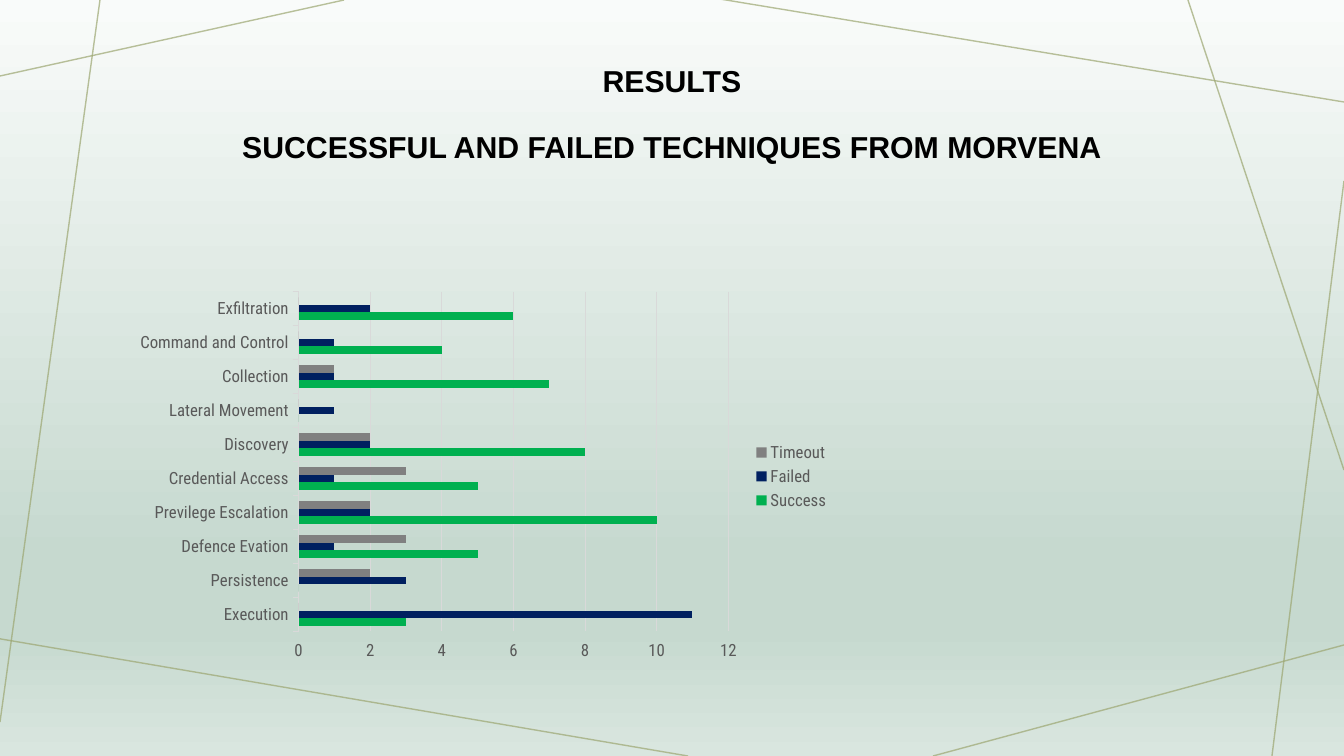
from copy import deepcopy

from lxml import etree
from pptx import Presentation
from pptx import util as u
from pptx.chart.data import CategoryChartData
from pptx.dml.color import RGBColor
from pptx.enum import chart as ch, shapes, text
from pptx.oxml.ns import qn

PX_PER_INCH = 100.8
COLORS = {
    "line": "9CA671", "title": "000000", "label": "595959", "grid": "D9D9D9",
    "Success": "00B050", "Failed": "002060", "Timeout": "808080",
}
BACKGROUND = [(0, "F9FBFA"), (74, "C6D9CF"), (83, "C6D9CF"), (100, "D9E6DF")]
DECOR_LINES = [
    (344, 0, 0, 76), (100, 0, 0, 722), (688, 756, -5, 638),
    (1344, 645, 933, 756), (1344, 181, 1272, 756),
    (1344, 470, 1188, 0), (1344, 102, 720, -1),
]
TACTICS = [
    "Execution", "Persistence", "Defence Evation", "Previlege Escalation",
    "Credential Access", "Discovery", "Lateral Movement", "Collection",
    "Command and Control", "Exfiltration",
]
OUTCOMES = {
    "Success": [3, 0, 5, 10, 5, 8, 0, 7, 4, 6],
    "Failed": [11, 3, 1, 2, 1, 2, 1, 1, 1, 2],
    "Timeout": [0, 2, 3, 2, 3, 2, 0, 1, 0, 0],
}


def px(*values):
    return [u.Inches(v / PX_PER_INCH) for v in values]


def rgb(name):
    return RGBColor.from_string(COLORS[name])


def paint_background(slide):
    fill = slide.background.fill
    fill.gradient()
    fill.gradient_angle = 270
    stops = slide.element.find(".//" + qn("a:gsLst"))
    for stop in list(stops)[1:]:
        stops.remove(stop)
    for _ in BACKGROUND[1:]:
        stops.append(deepcopy(stops[0]))
    for stop, (position, color) in zip(fill.gradient_stops, BACKGROUND):
        stop.position = position / 100
        stop.color.rgb = RGBColor.from_string(color)


def add_decor_line(slide, ends):
    line = slide.shapes.add_connector(shapes.MSO_CONNECTOR.STRAIGHT, *px(*ends))
    line.line.width = u.Pt(1)
    line.line.color.rgb = rgb("line")
    color = line.element.find(".//" + qn("a:srgbClr"))
    etree.SubElement(color, qn("a:alpha"), val="70000")
    etree.SubElement(line.element.spPr, qn("a:effectLst"))


def set_title(slide, lines, box):
    sp = slide.shapes.title
    sp.left, sp.top, sp.width, sp.height = px(*box)
    tf = sp.text_frame
    tf.text = "\n".join(lines)
    tf.word_wrap = True
    tf.auto_size = text.MSO_AUTO_SIZE.NONE
    tf.vertical_anchor = text.MSO_ANCHOR.MIDDLE
    for p in tf.paragraphs:
        p.alignment = text.PP_ALIGN.CENTER
        p.line_spacing = 0.9
        p.font.name, p.font.size, p.font.bold = "Arial", u.Pt(21.6), True
        p.font.color.rgb = rgb("title")
    tf.paragraphs[-1].space_before = u.Pt(24)


def style_font(font):
    font.name, font.size = "Roboto Condensed", u.Pt(12)
    font.color.rgb = rgb("label")


def style_line(line):
    line.color.rgb = rgb("grid")
    line.width = u.Pt(0.75)


def add_results_chart(slide, box):
    data = CategoryChartData()
    data.categories = TACTICS
    for name, values in OUTCOMES.items():
        data.add_series(name, values)
    chart = slide.shapes.add_chart(
        ch.XL_CHART_TYPE.BAR_CLUSTERED, *px(*box), data).chart
    style_font(chart.font)
    chart.has_title = False

    chart.has_legend = True
    chart.legend.position = ch.XL_LEGEND_POSITION.RIGHT
    chart.legend.include_in_layout = False
    style_font(chart.legend.font)

    plot = chart.plots[0]
    plot.gap_width, plot.overlap = 150, 0
    plot.vary_by_categories = False
    for series in plot.series:
        series.format.fill.solid()
        series.format.fill.fore_color.rgb = rgb(series.name)

    for axis in (chart.category_axis, chart.value_axis):
        axis.major_tick_mark = ch.XL_TICK_MARK.OUTSIDE
        style_font(axis.tick_labels.font)
    style_line(chart.category_axis.format.line)
    values = chart.value_axis
    values.minimum_scale, values.maximum_scale, values.major_unit = 0, 12, 2
    values.format.line.fill.background()
    style_line(values.major_gridlines.format.line)


def main():
    prs = Presentation()
    prs.slide_width, prs.slide_height = px(1344, 756)
    slide = prs.slides.add_slide(prs.slide_layouts.get_by_name("Title Only"))
    paint_background(slide)
    for ends in DECOR_LINES:
        add_decor_line(slide, ends)
    set_title(slide, ["RESULTS", "SUCCESSFUL AND FAILED TECHNIQUES FROM MORVENA"],
              (126, 58, 1092, 115))
    add_results_chart(slide, (126, 284, 714, 385))
    prs.save("out.pptx")


if __name__ == "__main__":
    main()
